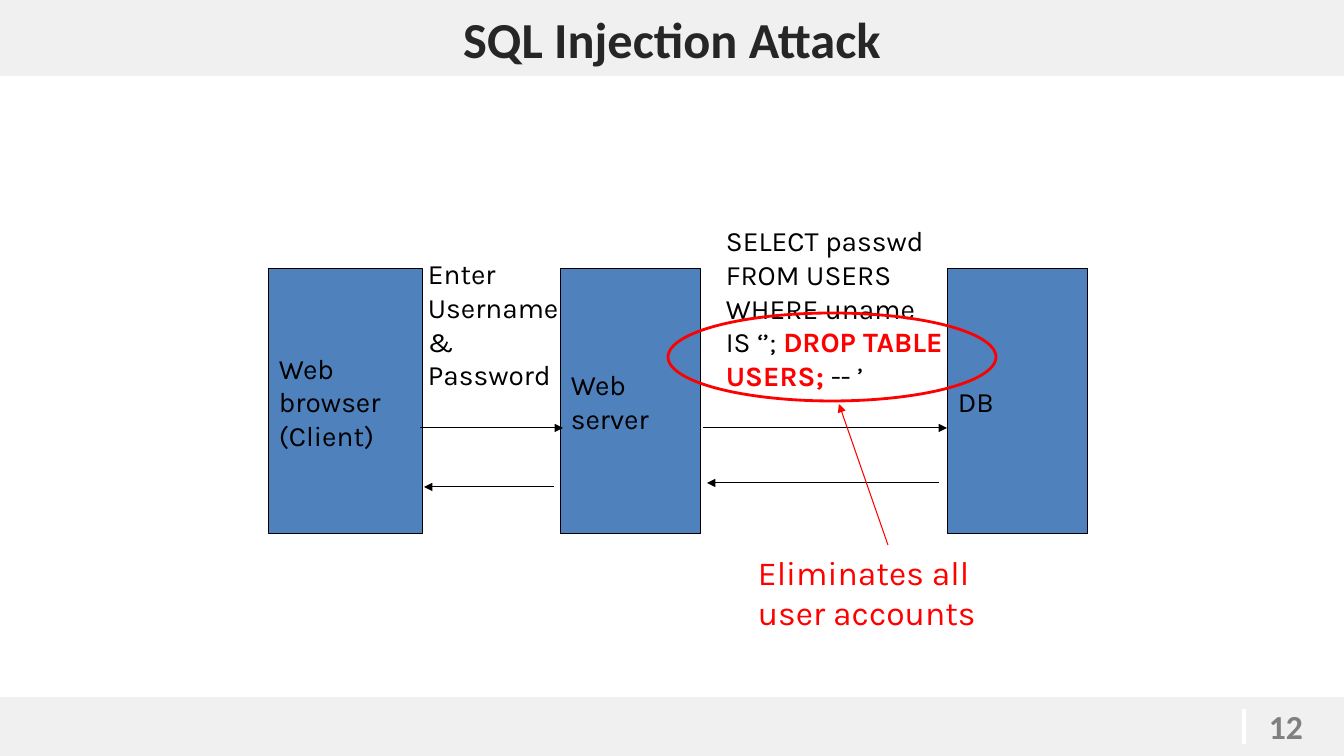
from dataclasses import dataclass

from lxml.etree import SubElement
from pptx import Presentation
from pptx.dml.color import RGBColor
from pptx.enum.shapes import MSO_CONNECTOR, MSO_SHAPE
from pptx.enum.text import MSO_ANCHOR, PP_ALIGN
from pptx.oxml.ns import qn
from pptx.util import Emu, Pt

SLIDE_W, SLIDE_H = 1344, 756
SCALE = 12192000 / SLIDE_W


@dataclass(frozen=True)
class Theme:
    heading_font: str = "Calibri"
    body_font: str = "Karla"
    bar: str = "F0F0F0"
    title: str = "262626"
    number: str = "808080"
    box: str = "4F81BD"
    ink: str = "000000"
    alert: str = "FF0000"
    white: str = "FFFFFF"
    title_size: int = 36
    callout_size: int = 24
    body_size: int = 20
    thin: float = 0.75
    ring: float = 2
    divider: float = 3


T = Theme()


def px(n):
    return Emu(round(n * SCALE))


def rgb(value):
    return RGBColor.from_string(value)


def set_font(font, name, size, color, bold=False):
    font.name, font.size, font.bold = name, Pt(size), bold
    font.color.rgb = rgb(color)


def fill_shape(sp, color):
    sp.fill.solid()
    sp.fill.fore_color.rgb = rgb(color)


def write_lines(tf, lines, name=T.body_font, size=T.body_size, color=T.ink, bold=False):
    for i, line in enumerate(lines):
        p = tf.paragraphs[0] if i == 0 else tf.add_paragraph()
        p.alignment = PP_ALIGN.LEFT
        p.text = line
        set_font(p.font, name, size, color, bold)


def add_shape(s, kind, x, y, w, h, fill=None, line=None, width=T.thin):
    sp = s.shapes.add_shape(kind, px(x), px(y), px(w), px(h))
    sp.shadow.inherit = False
    if fill:
        fill_shape(sp, fill)
    else:
        sp.fill.background()
    if line:
        sp.line.color.rgb = rgb(line)
        sp.line.width = Pt(width)
    else:
        sp.line.fill.background()
    return sp


def add_node(s, x, w, lines):
    sp = add_shape(s, MSO_SHAPE.RECTANGLE, x, 269, w, 265, T.box, T.ink)
    tf = sp.text_frame
    tf.word_wrap = False
    tf.vertical_anchor = MSO_ANCHOR.MIDDLE
    write_lines(tf, lines)


def add_text(s, x, y, w, h, lines, wrap=False, **style):
    tf = s.shapes.add_textbox(px(x), px(y), px(w), px(h)).text_frame
    tf.word_wrap = wrap
    write_lines(tf, lines, **style)
    return tf


def add_line(s, x1, y1, x2, y2, color=T.ink, width=T.thin, arrow=True):
    cx = s.shapes.add_connector(MSO_CONNECTOR.STRAIGHT, px(x1), px(y1), px(x2), px(y2))
    cx.line.color.rgb = rgb(color)
    cx.line.width = Pt(width)
    if arrow:
        SubElement(cx.line._get_or_add_ln(), qn("a:tailEnd"), type="triangle")
    SubElement(cx._element.spPr, qn("a:effectLst"))


def add_title(s, text):
    sp = s.shapes.title
    sp.left, sp.top, sp.width, sp.height = px(0), px(0), px(SLIDE_W), px(76)
    fill_shape(sp, T.bar)
    tf = sp.text_frame
    tf.vertical_anchor = MSO_ANCHOR.MIDDLE
    write_lines(tf, [text], T.heading_font, T.title_size, T.title, True)
    tf.paragraphs[0].alignment = PP_ALIGN.CENTER


def add_footer(s, number):
    add_shape(s, MSO_SHAPE.RECTANGLE, 0, 697, SLIDE_W, 59, T.bar)
    add_line(s, 1244, 709, 1244, 744, T.white, T.divider, arrow=False)
    add_text(s, 1259, 701, 85, 50, [number], name=T.heading_font,
             size=T.callout_size, color=T.number, bold=True)


def add_query(s):
    tf = add_text(s, 716, 219, 267, 179,
                  ["SELECT passwd", "FROM USERS", "WHERE uname", "IS ‘’; ", ""])
    drop, users = tf.paragraphs[3:]
    for p, text in ((drop, "DROP TABLE"), (users, "USERS; ")):
        r = p.add_run()
        r.text = text
        r.font.bold = True
        r.font.color.rgb = rgb(T.alert)
    users.add_run().text = "-- ’"


def main():
    prs = Presentation()
    prs.slide_width, prs.slide_height = px(SLIDE_W), px(SLIDE_H)
    s = prs.slides.add_slide(prs.slide_layouts[5])

    add_title(s, "SQL Injection Attack")
    add_footer(s, "12")
    add_text(s, 418, 252, 154, 146, ["Enter", "Username", "&", "Password"])
    for x, w, lines in (
        (269, 154, ["Web", "browser", "(Client)"]),
        (561, 140, ["Web", "server"]),
        (948, 140, ["DB"]),
    ):
        add_node(s, x, w, lines)
    add_query(s)
    for x1, x2, y in ((420, 563, 428), (554, 424, 487), (703, 947, 428), (939, 707, 483)):
        add_line(s, x1, y, x2, y)

    add_shape(s, MSO_SHAPE.OVAL, 668, 313, 328, 88, line=T.alert, width=T.ring)
    add_line(s, 888, 545, 839, 404, T.alert)
    add_text(s, 748, 547, 296, 92, ["Eliminates all user accounts"], wrap=True,
             size=T.callout_size, color=T.alert)

    prs.save("out.pptx")


if __name__ == "__main__":
    main()
